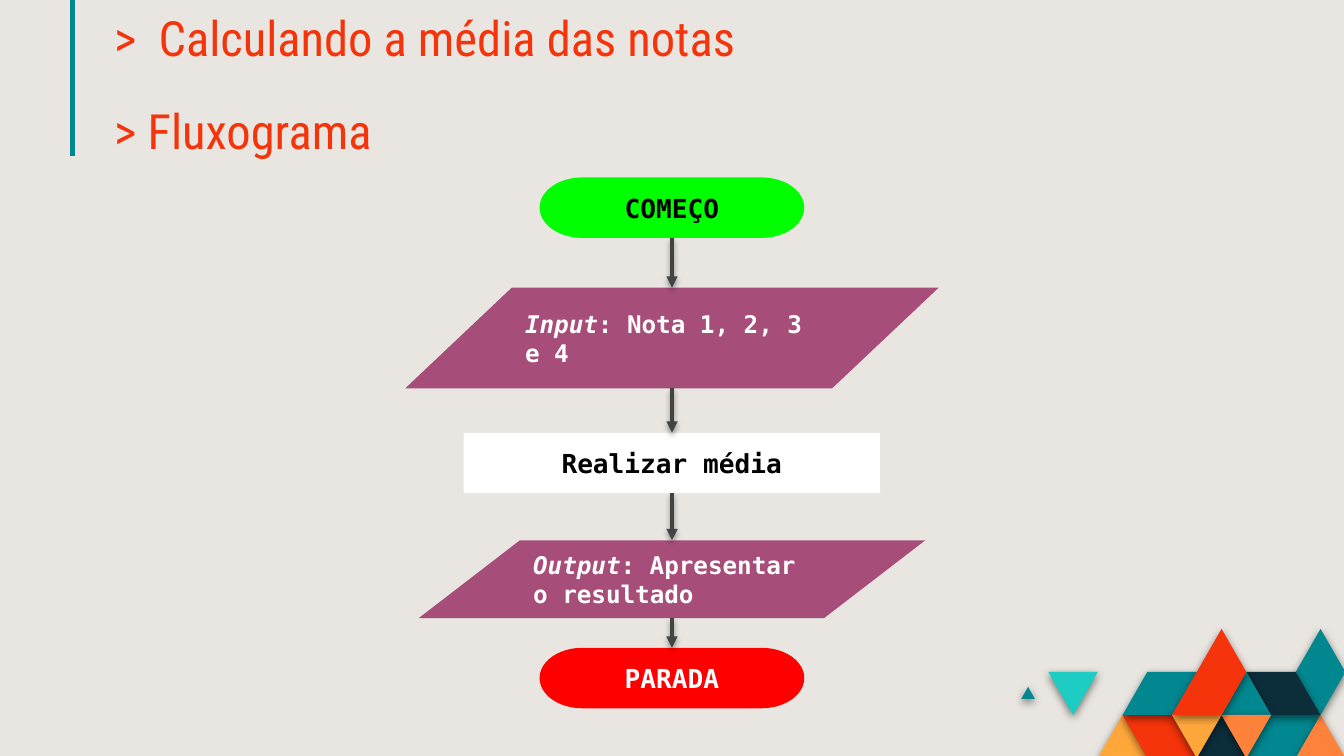
from lxml import etree
from pptx import Presentation
from pptx import util as u
from pptx.dml.color import RGBColor
from pptx.enum import shapes, text
from pptx.oxml.ns import qn

TEAL, RED, NAVY = "018790", "F5340B", "0C2E3A"
AMBER, ORANGE, AQUA = "FFA73B", "FF823B", "1DCDC3"
PURPLE, WHITE, BLACK, GREY = "A64D79", "FFFFFF", "000000", "434343"
WIDTH = 10
HEIGHT = WIDTH * 9 / 16
CENTER_X = WIDTH / 2


def rgb(value):
    return RGBColor.from_string(value)


class Deck:
    title_font = "Roboto Condensed"
    flow_font = "DejaVu Sans Mono"

    def __init__(self, width, height, background):
        self.prs = Presentation()
        self.prs.slide_width = u.Inches(width)
        self.prs.slide_height = u.Inches(height)
        self.s = self.prs.slides.add_slide(self.prs.slide_layouts[5])
        fill = self.s.background.fill
        fill.solid()
        fill.fore_color.rgb = rgb(background)

    def frame(self, sp):
        """Give the text frame of sp its insets, wrapping and anchor."""
        tf = sp.text_frame
        tf.word_wrap = True
        tf.auto_size = text.MSO_AUTO_SIZE.NONE
        tf.vertical_anchor = text.MSO_ANCHOR.MIDDLE
        tf.margin_left = tf.margin_right = u.Inches(0.1)
        tf.margin_top = tf.margin_bottom = u.Inches(0.1)
        return tf

    def font(self, p, name, size, color, bold=False):
        p.font.name = name
        p.font.size = u.Pt(size)
        p.font.bold = bold
        p.font.color.rgb = rgb(color)

    def shadow(self, sp, alpha, blur, dist):
        """Add a soft black shadow that falls straight down."""
        sp_pr = sp._element.spPr
        effects = etree.SubElement(sp_pr, qn("a:effectLst"))
        outer = etree.SubElement(
            effects, qn("a:outerShdw"), blurRad=str(u.Pt(blur)),
            dist=str(u.Pt(dist)), dir="5400000", algn="bl", rotWithShape="0")
        color = etree.SubElement(outer, qn("a:srgbClr"), val=BLACK)
        etree.SubElement(color, qn("a:alpha"), val=str(alpha * 1000))

    def title(self, lines, x, y, w, h):
        sp = self.s.shapes.title
        sp.left, sp.top, sp.width, sp.height = map(u.Inches, (x, y, w, h))
        tf = self.frame(sp)
        for i, line in enumerate(lines):
            p = tf.paragraphs[0] if i == 0 else tf.add_paragraph()
            p.text = line
            p.alignment = text.PP_ALIGN.LEFT
            p.line_spacing = 0.8
            p.space_before = u.Pt(25 if i else 0)
            tabs = etree.SubElement(p._p.get_or_add_pPr(), qn("a:tabLst"))
            etree.SubElement(tabs, qn("a:tab"), pos=str(u.Inches(0.33)), algn="l")
            self.font(p, self.title_font, 26, RED)

    def tile(self, points, color):
        """Draw a closed polygon through points given in inches."""
        corners = [(u.Inches(x), u.Inches(y)) for x, y in points]
        builder = self.s.shapes.build_freeform(*corners[0], scale=1.0)
        builder.add_line_segments(corners[1:], close=True)
        sp = builder.convert_to_shape()
        sp.fill.solid()
        sp.fill.fore_color.rgb = rgb(color)
        sp.line.fill.background()
        self.shadow(sp, 49, 4.5, 1.5)

    def step(self, kind, y, w, h, fill, label, color, detail=""):
        """Draw one centred flowchart step; a detail follows an italic label."""
        sp = self.s.shapes.add_shape(
            kind, *map(u.Inches, (CENTER_X - w / 2, y, w, h)))
        sp.shadow.inherit = False
        sp.fill.solid()
        sp.fill.fore_color.rgb = rgb(fill)
        sp.line.fill.background()
        p = self.frame(sp).paragraphs[0]
        p.alignment = text.PP_ALIGN.LEFT if detail else text.PP_ALIGN.CENTER
        self.font(p, self.flow_font, 13 if detail else 14, color, bold=True)
        r = p.add_run()
        r.text = label
        if detail:
            r.font.italic = True
            p.add_run().text = detail
        return sp

    def line(self, x, y1, y2, color, width):
        sp = self.s.shapes.add_connector(
            shapes.MSO_CONNECTOR.STRAIGHT, u.Inches(x), y1, u.Inches(x), y2)
        sp.line.color.rgb = rgb(color)
        sp.line.width = u.Pt(width)
        return sp

    def rule(self, x, y1, y2):
        sp = self.line(x, u.Inches(y1), u.Inches(y2), TEAL, 2.25)
        etree.SubElement(sp._element.spPr, qn("a:effectLst"))

    def arrow(self, above, below):
        sp = self.line(CENTER_X, above.top + above.height, below.top, GREY, 2)
        # The slanted boxes have no connection site that fits the arrows.
        slanted = shapes.MSO_SHAPE.FLOWCHART_DATA
        if above.auto_shape_type != slanted:
            sp.begin_connect(above, 2)
        if below.auto_shape_type != slanted:
            sp.end_connect(below, 0)
        etree.SubElement(sp.line._get_or_add_ln(), qn("a:tailEnd"), type="triangle")
        self.shadow(sp, 38, 3.1, 1.6)


# Corners are (column, row) on a grid of half-triangles.
GRID_X, GRID_Y, HALF, ROW = 7.8, 4.68, 2.21 / 12, 0.32
TILES = [
    (AMBER, [(2, 3), (3, 2), (4, 3)]),
    (RED, [(3, 2), (5, 2), (6, 3), (4, 3)]),
    (TEAL, [(8, 3), (9, 2), (11, 2), (10, 3)]),
    (ORANGE, [(10, 3), (11, 2), (12, 3)]),
    (NAVY, [(6, 3), (7, 2), (8, 3)]),
    (TEAL, [(3, 2), (4, 1), (6, 1), (5, 2)]),
    (AQUA, [(0, 1), (2, 1), (1, 2)]),
    (TEAL, [(10, 1), (11, 0), (12, 1), (11, 2)]),
    (NAVY, [(8, 1), (10, 1), (11, 2), (9, 2)]),
    (TEAL, [(7, 2), (8, 1), (9, 2)]),
    (ORANGE, [(7, 2), (9, 2), (8, 3)]),
    (AMBER, [(5, 2), (7, 2), (6, 3)]),
    (RED, [(5, 2), (7, 0), (8, 1), (7, 2)]),
]


def main():
    deck = Deck(WIDTH, HEIGHT, "E9E6E1")
    deck.rule(0.54, 0, 1.16)
    deck.tile([(7.6, 5.2), (7.65, 5.11), (7.7, 5.2)], TEAL)
    for color, corners in TILES:
        deck.tile([(GRID_X + c * HALF, GRID_Y + r * ROW) for c, r in corners], color)
    deck.title([">\tCalculando a média das notas", "> Fluxograma"], 0.75, 0, 5.79, 1.32)

    kind = shapes.MSO_SHAPE
    terminator, data = kind.FLOWCHART_TERMINATOR, kind.FLOWCHART_DATA
    steps = [
        deck.step(terminator, 1.32, 1.97, 0.45, "00FF00", "COMEÇO", BLACK),
        deck.step(data, 2.14, 3.97, 0.75, PURPLE, "Input", WHITE, ": Nota 1, 2, 3 e 4"),
        deck.step(kind.RECTANGLE, 3.22, 3.1, 0.45, WHITE, "Realizar média", BLACK),
        deck.step(data, 4.02, 3.77, 0.58, PURPLE, "Output", WHITE,
                  ": Apresentar o resultado"),
        deck.step(terminator, 4.82, 1.97, 0.45, "FF0000", "PARADA", WHITE),
    ]
    for above, below in zip(steps, steps[1:]):
        deck.arrow(above, below)
    deck.prs.save("out.pptx")


if __name__ == "__main__":
    main()
